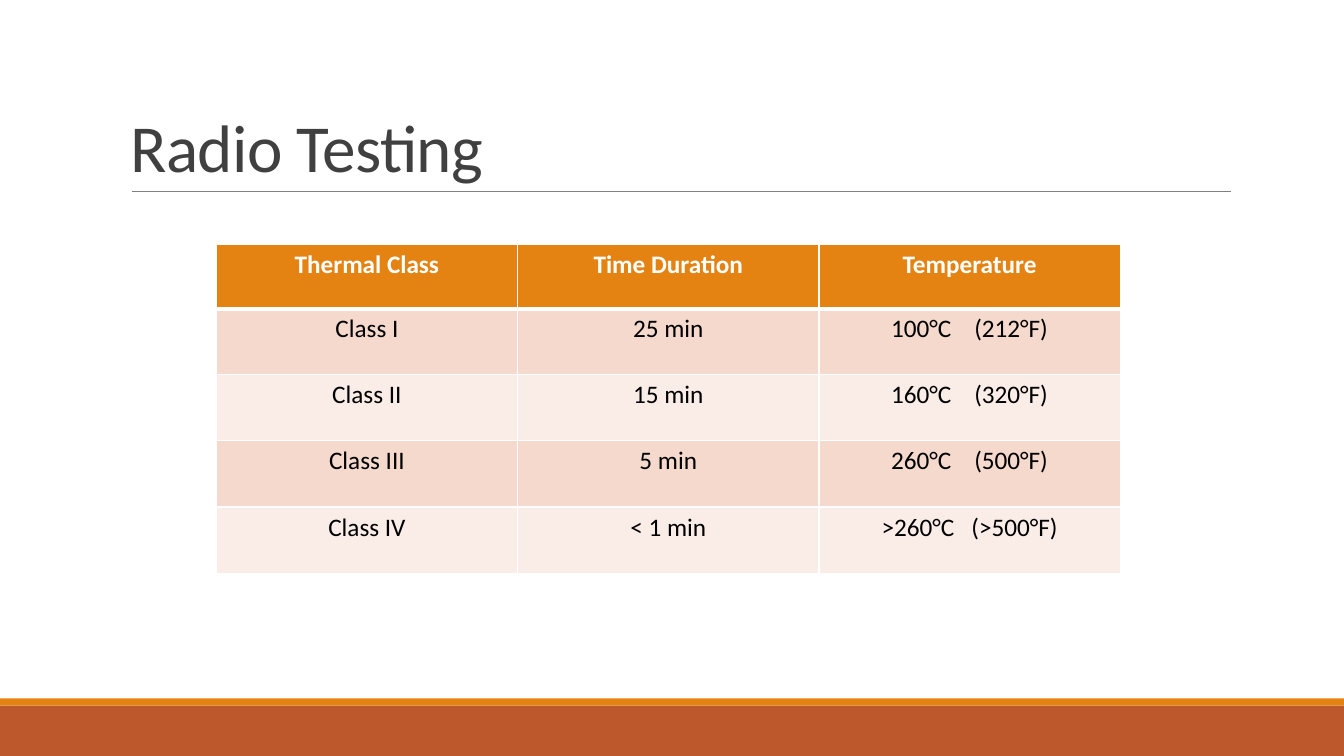
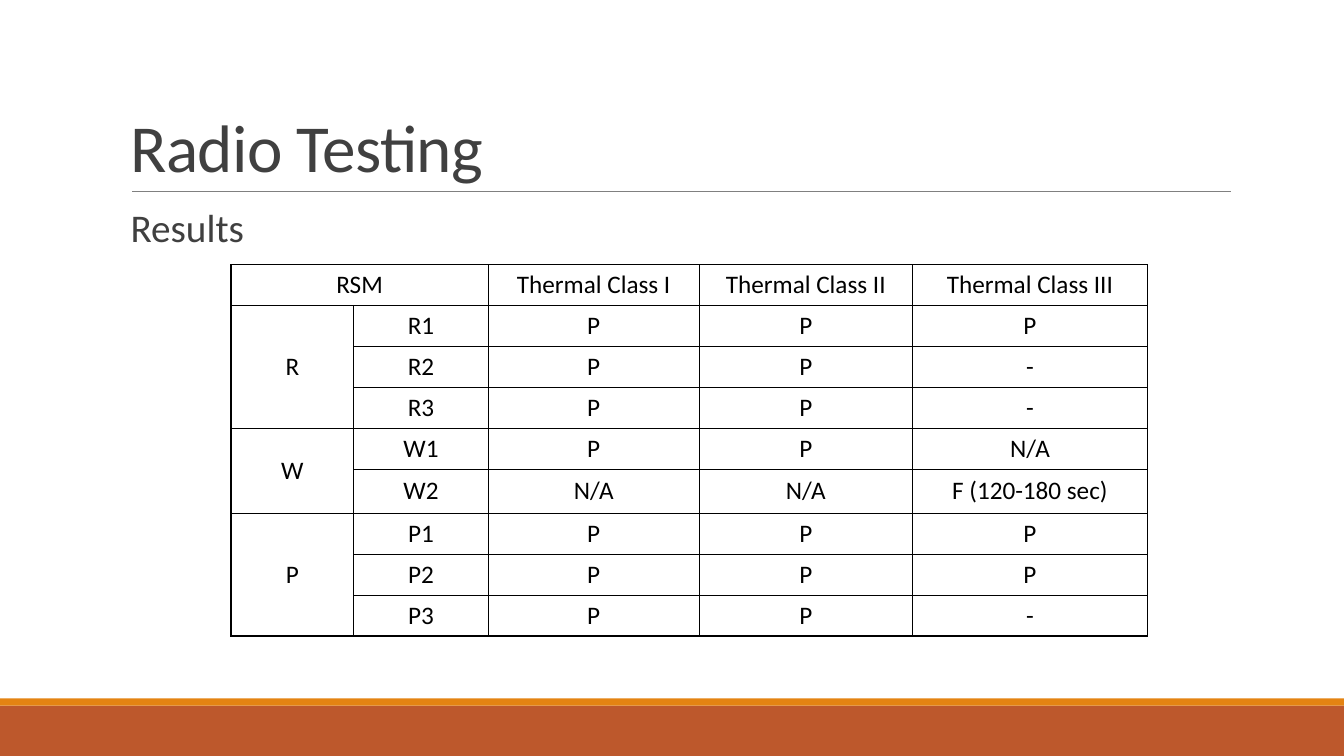
from dataclasses import dataclass
from typing import NamedTuple

from lxml import etree
from pptx import Presentation
from pptx.dml.color import RGBColor
from pptx.enum.shapes import MSO_CONNECTOR, MSO_SHAPE
from pptx.enum.text import MSO_ANCHOR, PP_ALIGN
from pptx.oxml.ns import qn
from pptx.slide import Slide
from pptx.table import Table, _Cell
from pptx.text.text import _Paragraph
from pptx.util import Emu, Pt

RECTANGLE = MSO_SHAPE.RECTANGLE
STRAIGHT = MSO_CONNECTOR.STRAIGHT
TOP, MIDDLE, BOTTOM = MSO_ANCHOR.TOP, MSO_ANCHOR.MIDDLE, MSO_ANCHOR.BOTTOM
LEFT, CENTER = PP_ALIGN.LEFT, PP_ALIGN.CENTER

EMU_PER_PX = 9525
SLIDE_W, SLIDE_H = 1280, 720


@dataclass(frozen=True)
class Theme:
    font: str = "Calibri"
    rust: str = "BD582C"
    orange: str = "E48312"
    rule: str = "808080"
    heading: str = "404040"
    black: str = "000000"
    white: str = "FFFFFF"
    row_dark: str = "F5D9CC"
    row_light: str = "FAEDE7"
    title_pt: int = 48
    subtitle_pt: int = 28
    table_pt: int = 18


THEME = Theme()


class Box(NamedTuple):
    x: int
    y: int
    w: int
    h: int


class Band(NamedTuple):
    box: Box
    color: str


class TextStyle(NamedTuple):
    size: int
    color: str
    bold: bool = False
    spacing: float = 0


class Heading(NamedTuple):
    box: Box
    style: TextStyle
    anchor: MSO_ANCHOR
    line_spacing: float


class Reading(NamedTuple):
    """A temperature in both scales, with the extra width of the gap in points."""
    celsius: str
    fahrenheit: str
    gap: float


class Borders(NamedTuple):
    color: str
    top: int = 1
    bottom: int = 1


BANDS = (
    Band(Box(0, 672, SLIDE_W, 48), THEME.rust),
    Band(Box(0, 665, SLIDE_W, 7), THEME.orange),
)
RULE_LEFT, RULE_RIGHT, RULE_Y = 126, 1172, 182

TITLE = Heading(Box(115, 30, 1056, 152),
                TextStyle(THEME.title_pt, THEME.heading, spacing=-0.5), BOTTOM, 0.85)
SUBTITLE = Heading(Box(115, 194, 1056, 50),
                   TextStyle(THEME.subtitle_pt, THEME.heading), TOP, 0.9)
HEADER_TEXT = TextStyle(THEME.table_pt, THEME.white, bold=True)
BODY_TEXT = TextStyle(THEME.table_pt, THEME.black)

CLASS_HEADER = ("Thermal Class", "Time Duration", "Temperature")
CLASS_ROWS = (
    ("Class I", "25 min", Reading("100°C", "(212°F)", 12.2)),
    ("Class II", "15 min", Reading("160°C", "(320°F)", 12.2)),
    ("Class III", "5 min", Reading("260°C", "(500°F)", 12.2)),
    ("Class IV", "< 1 min", Reading(">260°C", "(>500°F)", 8.1)),
)

RESULT_HEADER = ("RSM", "", "Thermal Class I", "Thermal Class II", "Thermal Class III")
RESULT_GROUPS = {
    "R": (("R1", "P", "P", "P"), ("R2", "P", "P", "-"), ("R3", "P", "P", "-")),
    "W": (("W1", "P", "P", "N/A"), ("W2", "N/A", "N/A", "F (120-180 sec)")),
    "P": (("P1", "P", "P", "P"), ("P2", "P", "P", "P"), ("P3", "P", "P", "-")),
}
RESULT_COLUMNS = (117, 128, 201, 203, 224)
RESULT_ROW_H, TALL_ROW_H = 39, 42
TALL_ROW = "W2"


def px(length: int) -> Emu:
    return Emu(length * EMU_PER_PX)


def rgb(color: str) -> RGBColor:
    return RGBColor.from_string(color)


def add_run(paragraph: _Paragraph, text: str, style: TextStyle) -> None:
    run = paragraph.add_run()
    run.text = text
    formats = {"name": THEME.font, "size": Pt(style.size), "bold": style.bold}
    for attribute, value in formats.items():
        setattr(run.font, attribute, value)
    run.font.color.rgb = rgb(style.color)
    if style.spacing:
        run._r.get_or_add_rPr().set("spc", str(round(style.spacing * 100)))


def add_heading(slide: Slide, text: str, heading: Heading) -> None:
    frame = slide.shapes.add_textbox(*map(px, heading.box)).text_frame
    frame.word_wrap = True
    frame.vertical_anchor = heading.anchor
    paragraph = frame.paragraphs[0]
    paragraph.alignment = LEFT
    paragraph.line_spacing = heading.line_spacing
    add_run(paragraph, text, heading.style)


def add_band(slide: Slide, band: Band) -> None:
    shape = slide.shapes.add_shape(RECTANGLE, *map(px, band.box))
    shape.shadow.inherit = False
    shape.fill.solid()
    shape.fill.fore_color.rgb = rgb(band.color)
    shape.line.fill.background()


def add_rule(slide: Slide) -> None:
    rule = slide.shapes.add_connector(
        STRAIGHT, px(RULE_LEFT), px(RULE_Y), px(RULE_RIGHT), px(RULE_Y))
    rule.line.color.rgb = rgb(THEME.rule)
    rule.line.width = Pt(0.5)
    etree.SubElement(rule._element.spPr, qn("a:effectLst"))


def add_titled_slide(deck: Presentation, title: str) -> Slide:
    slide = deck.slides.add_slide(deck.slide_layouts[6])
    for band in BANDS:
        add_band(slide, band)
    add_rule(slide)
    add_heading(slide, title, TITLE)
    return slide


def add_table(slide: Slide, x: int, y: int, columns: tuple[int, ...],
              heights: list[int]) -> Table:
    box = Box(x, y, sum(columns), sum(heights))
    table = slide.shapes.add_table(len(heights), len(columns), *map(px, box)).table
    table.first_row = table.horz_banding = False
    for column, width in zip(table.columns, columns):
        column.width = px(width)
    for row, height in zip(table.rows, heights):
        row.height = px(height)
    return table


def set_borders(cell: _Cell, borders: Borders) -> None:
    properties = cell._tc.get_or_add_tcPr()
    widths = {"a:lnL": 1, "a:lnR": 1, "a:lnT": borders.top, "a:lnB": borders.bottom}
    for side, width in widths.items():
        line = etree.SubElement(properties, qn(side), w=str(Pt(width)))
        fill = etree.SubElement(line, qn("a:solidFill"))
        etree.SubElement(fill, qn("a:srgbClr"), val=borders.color)


def fill_cell(cell: _Cell, content: str | Reading, style: TextStyle, borders: Borders,
              anchor: MSO_ANCHOR, color: str | None = None) -> None:
    set_borders(cell, borders)
    if color:
        cell.fill.solid()
        cell.fill.fore_color.rgb = rgb(color)
    else:
        cell.fill.background()
    cell.vertical_anchor = anchor
    paragraph = cell.text_frame.paragraphs[0]
    paragraph.alignment = CENTER
    if isinstance(content, Reading):
        add_run(paragraph, content.celsius, style)
        add_run(paragraph, " ", style._replace(spacing=content.gap))
        add_run(paragraph, content.fahrenheit, style)
    elif content:
        add_run(paragraph, content, style)


def add_class_slide(deck: Presentation) -> None:
    slide = add_titled_slide(deck, "Radio Testing")
    table = add_table(slide, 206, 233, (287,) * 3, [61] + [63] * len(CLASS_ROWS))
    for r, row in enumerate((CLASS_HEADER, *CLASS_ROWS)):
        style = BODY_TEXT if r else HEADER_TEXT
        color = (THEME.row_dark if r % 2 else THEME.row_light) if r else THEME.orange
        borders = Borders(THEME.white, top=3 if r == 1 else 1, bottom=1 if r else 3)
        for c, content in enumerate(row):
            fill_cell(table.cell(r, c), content, style, borders, TOP, color)


def add_results_slide(deck: Presentation) -> None:
    slide = add_titled_slide(deck, "Radio Testing")
    add_heading(slide, "Results", SUBTITLE)
    rows = [RESULT_HEADER]
    spans = [(0, 0, 0, 1)]
    for group, tests in RESULT_GROUPS.items():
        first = len(rows)
        rows += [("" if i else group, *test) for i, test in enumerate(tests)]
        spans.append((first, 0, len(rows) - 1, 0))
    heights = [TALL_ROW_H if row[1] == TALL_ROW else RESULT_ROW_H for row in rows]
    table = add_table(slide, 220, 252, RESULT_COLUMNS, heights)
    for r, row in enumerate(rows):
        for c, content in enumerate(row):
            fill_cell(table.cell(r, c), content, BODY_TEXT, Borders(THEME.black), MIDDLE)
    for top, left, bottom, right in spans:
        table.cell(top, left).merge(table.cell(bottom, right))


def main() -> None:
    deck = Presentation()
    deck.slide_width, deck.slide_height = px(SLIDE_W), px(SLIDE_H)
    add_class_slide(deck)
    add_results_slide(deck)
    deck.save("out.pptx")


if __name__ == "__main__":
    main()
